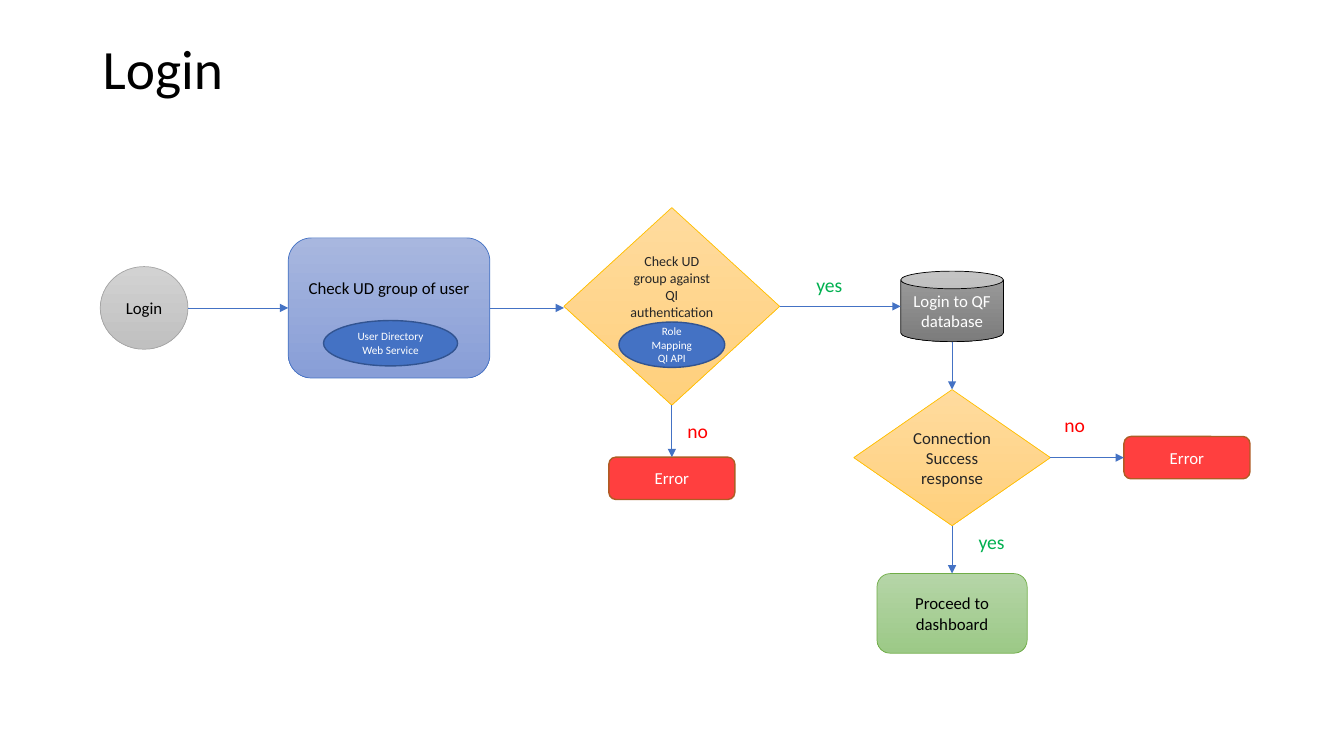
"""Build a login flowchart slide on a grid of tenth-of-an-inch cells."""
from lxml import etree
from pptx import Presentation
from pptx.dml.color import RGBColor
from pptx.enum.shapes import MSO_CONNECTOR, MSO_SHAPE
from pptx.enum.text import MSO_ANCHOR, PP_ALIGN
from pptx.oxml.ns import qn
from pptx.util import Inches, Pt

ELLIPSE = MSO_SHAPE.OVAL
PROCESS = MSO_SHAPE.FLOWCHART_ALTERNATE_PROCESS
DIAMOND = MSO_SHAPE.DIAMOND
CAN = MSO_SHAPE.CAN
STRAIGHT = MSO_CONNECTOR.STRAIGHT
MIDDLE = MSO_ANCHOR.MIDDLE
LEFT, CENTER = PP_ALIGN.LEFT, PP_ALIGN.CENTER

BLACK = RGBColor(0x00, 0x00, 0x00)
WHITE = RGBColor(0xFF, 0xFF, 0xFF)
CHARCOAL = RGBColor(0x26, 0x26, 0x26)
BLUE = RGBColor(0x44, 0x72, 0xC4)
NAVY = RGBColor(0x32, 0x54, 0x91)
RED = RGBColor(0xFF, 0x3F, 0x3F)
BROWN = RGBColor(0xAF, 0x5C, 0x24)
YES_GREEN = RGBColor(0x00, 0xB0, 0x50)
NO_RED = RGBColor(0xFF, 0x00, 0x00)
GRAY = RGBColor(0xA5, 0xA5, 0xA5)
GRAY_TOP = RGBColor(0xD2, 0xD2, 0xD2)
GRAY_BOTTOM = RGBColor(0xC0, 0xC0, 0xC0)
GREEN = RGBColor(0x70, 0xAD, 0x47)
GREEN_TOP = RGBColor(0xB5, 0xD5, 0xA7)
GREEN_BOTTOM = RGBColor(0x9C, 0xC9, 0x87)
BLUE_TOP = RGBColor(0xA8, 0xB7, 0xDF)
BLUE_BOTTOM = RGBColor(0x88, 0x9E, 0xD7)
GOLD = RGBColor(0xFF, 0xC0, 0x00)
GOLD_TOP = RGBColor(0xFF, 0xDB, 0x9E)
GOLD_BOTTOM = RGBColor(0xFF, 0xD0, 0x7C)
STEEL_TOP = RGBColor(0x9D, 0x9D, 0x9D)
STEEL_BOTTOM = RGBColor(0x7C, 0x7C, 0x7C)

START = (GRAY_TOP, GRAY_BOTTOM, GRAY, 0.5, BLACK)
STEP = (BLUE_TOP, BLUE_BOTTOM, BLUE, 0.5, BLACK)
DECISION = (GOLD_TOP, GOLD_BOTTOM, GOLD, 0.5, CHARCOAL)
DATABASE = (STEEL_TOP, STEEL_BOTTOM, BLACK, 0.5, WHITE)
FINISH = (GREEN_TOP, GREEN_BOTTOM, GREEN, 0.5, BLACK)
FAILURE = (RED, RED, BROWN, 1, WHITE)
SERVICE = (BLUE, BLUE, NAVY, 1, WHITE)

START_COLUMN, GROUP_COLUMN, CHECK_COLUMN = 14.3, 38.6, 66.65
DATABASE_COLUMN, ERROR_COLUMN = 94.45, 117.75
MAIN_ROW, RESPONSE_ROW, ERROR_ROW, FINISH_ROW = 30.4, 45.4, 47.45, 60.85


def cells(count):
    """Turn a number of grid cells into a length."""
    return Inches(count / 10)


def write(box, lines, size, color, align):
    """Fill a box with one paragraph per line."""
    frame = box.text_frame
    frame.word_wrap = True
    frame.text = "\n".join(lines)
    for para in frame.paragraphs:
        para.alignment = align
        para.font.name = "Calibri"
        para.font.size = Pt(size)
        para.font.color.rgb = color
    return frame


def paint(shape, top, bottom):
    """Fill a shape with one colour or a downward gradient."""
    if top == bottom:
        shape.fill.solid()
        shape.fill.fore_color.rgb = top
        return
    shape.fill.gradient()
    shape.fill.gradient_angle = 270
    for stop, color, position in zip(shape.fill.gradient_stops, (top, bottom), (0, 1)):
        stop.color.rgb = color
        stop.position = position


def add_node(page, kind, center, size, style, lines, points=12):
    """Add a flowchart node around a grid point."""
    (column, row), (width, height) = center, size
    top, bottom, outline, weight, ink = style
    node = page.shapes.add_shape(kind, cells(column - width / 2), cells(row - height / 2),
                                 cells(width), cells(height))
    node.shadow.inherit = False
    paint(node, top, bottom)
    node.line.color.rgb = outline
    node.line.width = Pt(weight)
    write(node, lines, points, ink, CENTER).vertical_anchor = MIDDLE
    return node


def add_arrow(page, start, end):
    """Add a straight arrow between two points."""
    arrow = page.shapes.add_connector(STRAIGHT, *start, *end)
    arrow.line.color.rgb = BLUE
    arrow.line.width = Pt(0.5)
    outline = arrow._element.spPr.find(qn("a:ln"))
    etree.SubElement(outline, qn("a:tailEnd"), type="triangle")
    etree.SubElement(arrow._element.spPr, qn("a:effectLst"))


def link_right(page, source, target):
    """Point from the right side of one node to the left of another."""
    row = source.top + source.height // 2
    add_arrow(page, (source.left + source.width, row), (target.left, row))


def link_down(page, source, target):
    """Point from the bottom of one node to the top of another."""
    column = source.left + source.width // 2
    add_arrow(page, (column, source.top + source.height), (column, target.top))


def add_text(page, place, text, size, color):
    """Add a left-aligned text box at a grid place."""
    box = page.shapes.add_textbox(*map(cells, place))
    return write(box, [text], size, color, LEFT)


def main():
    """Build and save the slide."""
    deck = Presentation()
    deck.slide_width, deck.slide_height = cells(133.33), cells(75)
    page = deck.slides.add_slide(deck.slide_layouts[6])

    title = add_text(page, (9.2, 4, 115, 6.1), "Login", 39.6, BLACK)
    title.vertical_anchor = MIDDLE
    title.paragraphs[0].line_spacing = 0.9

    login = add_node(page, ELLIPSE, (START_COLUMN, MAIN_ROW + 0.15), (8.7, 8.2), START, ["Login"])
    group = add_node(page, PROCESS, (GROUP_COLUMN, MAIN_ROW + 0.15), (20, 13.9), STEP,
                     ["Check UD group of user"])
    group.text_frame.margin_bottom = cells(4.5)
    check = add_node(page, DIAMOND, (CHECK_COLUMN, MAIN_ROW), (21.4, 19.6), DECISION,
                     ["Check UD group against QI authentication"], 10)
    check.text_frame.margin_top = 0
    check.text_frame.margin_bottom = cells(4)
    database = add_node(page, CAN, (DATABASE_COLUMN, MAIN_ROW), (10.2, 7), DATABASE,
                        ["Login to QF database"])
    response = add_node(page, DIAMOND, (DATABASE_COLUMN, RESPONSE_ROW), (19.5, 13.5), DECISION,
                        ["Connection Success response"])
    finish = add_node(page, PROCESS, (DATABASE_COLUMN, FINISH_ROW), (14.9, 7.9), FINISH,
                      ["Proceed to dashboard"])
    check_error, response_error = (
        add_node(page, PROCESS, center, (12.5, 4.2), FAILURE, ["Error"])
        for center in ((CHECK_COLUMN, ERROR_ROW), (ERROR_COLUMN, RESPONSE_ROW)))

    for source, target in ((login, group), (group, check), (check, database),
                           (response, response_error)):
        link_right(page, source, target)
    for source, target in ((check, check_error), (database, response), (response, finish)):
        link_down(page, source, target)

    for column, row, answer, color in ((80, 26.6, "yes", YES_GREEN), (96.1, 52.1, "yes", YES_GREEN),
                                       (67.2, 41.1, "no", NO_RED), (104.6, 40.5, "no", NO_RED)):
        add_text(page, (column, row, 7, 3.4), answer, 14, color)

    add_node(page, ELLIPSE, (GROUP_COLUMN + 0.15, 34.05), (13.3, 4.5), SERVICE,
             ["User Directory Web Service"], 8)
    add_node(page, ELLIPSE, (CHECK_COLUMN, 34.2), (10.5, 4.5), SERVICE,
             ["Role Mapping", "QI API"], 8)

    deck.save("out.pptx")


if __name__ == "__main__":
    main()
